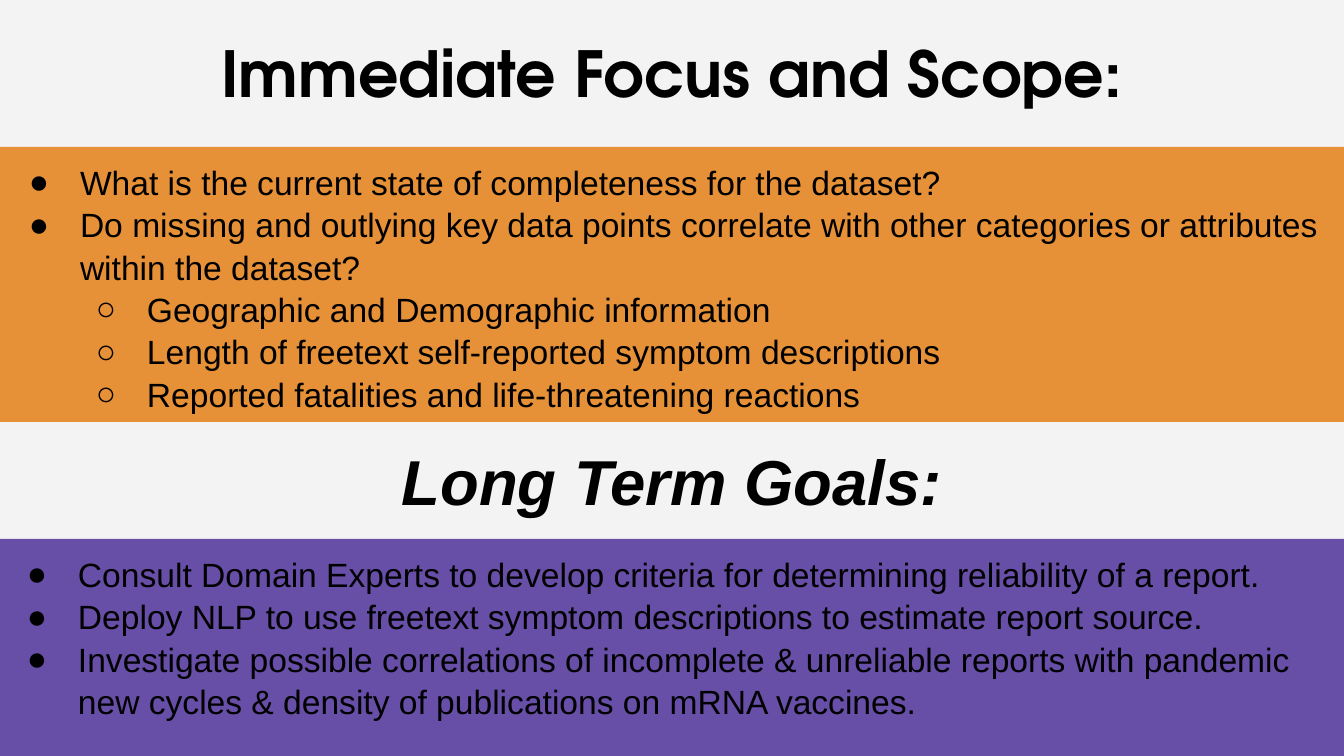
import dataclasses

import lxml.etree
import pptx
import pptx.dml.color
import pptx.enum.text
import pptx.oxml.ns
import pptx.util

PX = 914400 / 134.4


@dataclasses.dataclass(frozen=True)
class Theme:
    paper: str = "F3F3F3"
    ink: str = "000000"
    focus: str = "E69138"
    goals: str = "674EA7"
    title_font: str = "TeX Gyre Adventor"
    body_font: str = "Arial"
    heading_size: int = 34
    body_size: int = 18


THEME = Theme()
BULLETS = ("●", "○")

FOCUS = [
    ("What is the current state of completeness for the dataset?", 0),
    ("Do missing and outlying key data points correlate with other categories "
     "or attributes within the dataset?", 0),
    ("Geographic and Demographic information", 1),
    ("Length of freetext self-reported symptom descriptions", 1),
    ("Reported fatalities and life-threatening reactions", 1),
]
GOALS = [
    ("Consult Domain Experts to develop criteria for determining reliability of a report.", 0),
    ("Deploy NLP to use freetext symptom descriptions to estimate report source.", 0),
    ("Investigate possible correlations of incomplete & unreliable reports with "
     "pandemic new cycles & density of publications on mRNA vaccines.", 0),
]


def px(length):
    return pptx.util.Emu(round(length * PX))


def colour(value):
    return pptx.dml.color.RGBColor.from_string(value)


def place(shape, box):
    shape.left, shape.top, shape.width, shape.height = map(px, box)


def prepare_frame(shape, anchor, insets=(13, 13, 13, 13)):
    frame = shape.text_frame
    frame.word_wrap = True
    frame.auto_size = pptx.enum.text.MSO_AUTO_SIZE.NONE
    frame.vertical_anchor = anchor
    frame.margin_left, frame.margin_top, frame.margin_right, frame.margin_bottom = map(px, insets)
    return frame


def write(para, text, *, size, font=THEME.body_font, bold=False, italic=False,
          align=pptx.enum.text.PP_ALIGN.LEFT, spacing=1.0):
    para.alignment = align
    para.line_spacing = spacing
    para.space_before = para.space_after = pptx.util.Pt(0)
    span = para.add_run()
    span.text = text
    span.font.size = pptx.util.Pt(size)
    span.font.name = font
    span.font.bold = bold
    span.font.italic = italic
    span.font.color.rgb = colour(THEME.ink)


def add_bullet(para, level):
    para.level = level
    properties = para._p.get_or_add_pPr()
    properties.set("marL", str(px(67 * (level + 1))))
    properties.set("indent", str(px(-51)))
    for tag, name, value in (("a:buFont", "typeface", THEME.body_font),
                             ("a:buChar", "char", BULLETS[level])):
        mark = lxml.etree.SubElement(properties, pptx.oxml.ns.qn(tag))
        mark.set(name, value)


def fill_title(title, box, text):
    place(title, box)
    frame = prepare_frame(title, pptx.enum.text.MSO_ANCHOR.BOTTOM, (0, 13, 0, 30))
    write(frame.paragraphs[0], text, size=THEME.heading_size, font=THEME.title_font,
          bold=True, align=pptx.enum.text.PP_ALIGN.CENTER)


def fill_list(body, box, items, fill):
    place(body, box)
    body.fill.solid()
    body.fill.fore_color.rgb = colour(fill)
    frame = prepare_frame(body, pptx.enum.text.MSO_ANCHOR.TOP)
    for index, (text, level) in enumerate(items):
        para = frame.add_paragraph() if index else frame.paragraphs[0]
        write(para, text, size=THEME.body_size, spacing=1.05)
        add_bullet(para, level)


def add_heading(page, box, text):
    heading = page.shapes.add_textbox(*map(px, box))
    frame = prepare_frame(heading, pptx.enum.text.MSO_ANCHOR.TOP)
    write(frame.paragraphs[0], text, size=THEME.heading_size, bold=True, italic=True,
          align=pptx.enum.text.PP_ALIGN.CENTER, spacing=1.1)


def main():
    deck = pptx.Presentation()
    deck.slide_width, deck.slide_height = px(1344), px(756)
    page = deck.slides.add_slide(deck.slide_layouts.get_by_name("Two Content"))
    page.background.fill.solid()
    page.background.fill.fore_color.rgb = colour(THEME.paper)

    fill_title(page.shapes.title, (0, 0, 1344, 140), "Immediate Focus and Scope:")
    fill_list(page.placeholders[1], (0, 147, 1348, 275), FOCUS, THEME.focus)
    fill_list(page.placeholders[2], (-2, 539, 1348, 218), GOALS, THEME.goals)
    add_heading(page, (0, 422, 1344, 117), "Long Term Goals:")
    deck.save("out.pptx")


if __name__ == "__main__":
    main()
